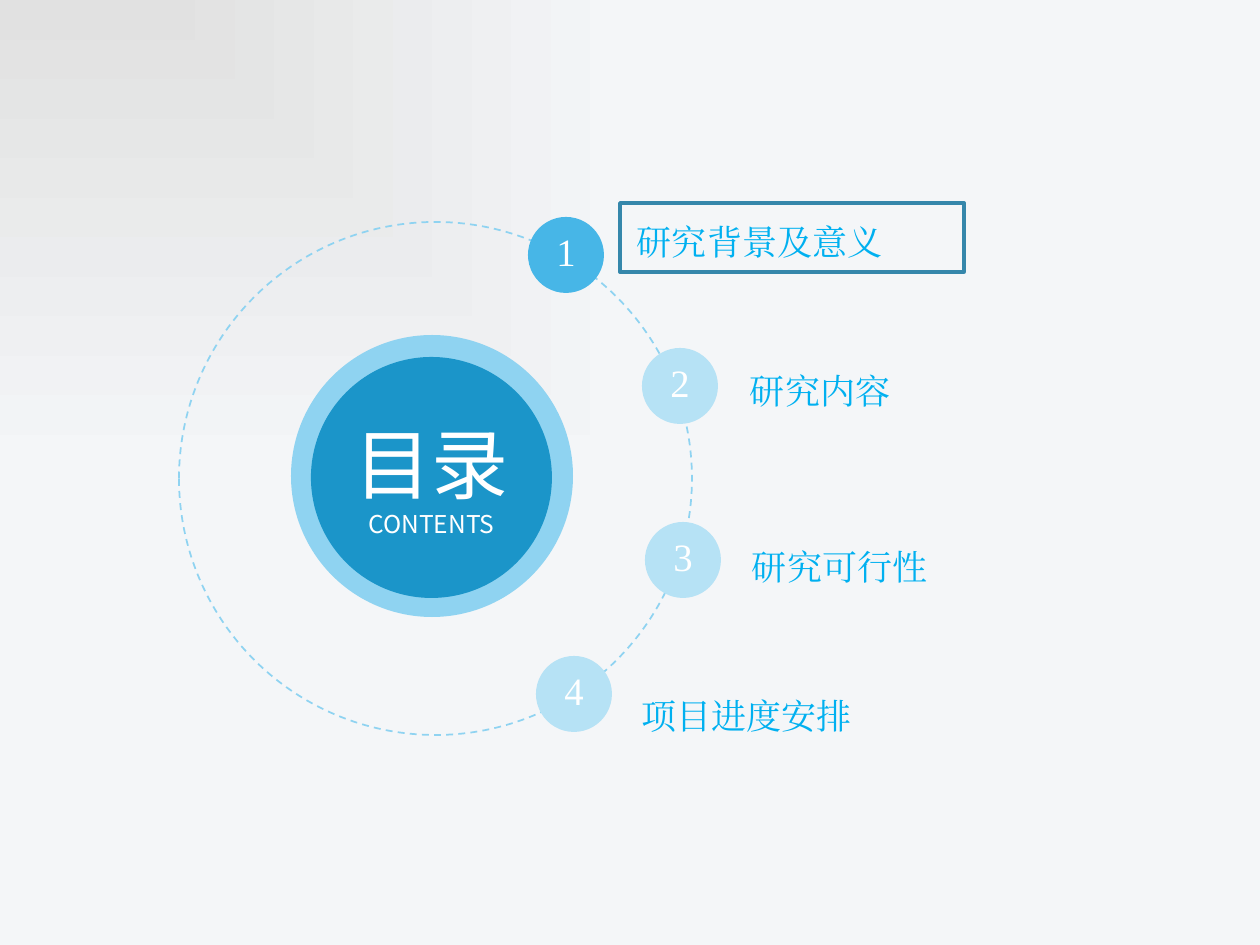
from lxml import etree
from pptx import Presentation
from pptx.dml.color import RGBColor
from pptx.enum.dml import MSO_LINE
from pptx.enum.shapes import MSO_SHAPE
from pptx.enum.text import MSO_ANCHOR, PP_ALIGN
from pptx.oxml.ns import qn
from pptx.util import Emu, Pt

RECT, OVAL = MSO_SHAPE.RECTANGLE, MSO_SHAPE.OVAL
MIDDLE = MSO_ANCHOR.MIDDLE
LEFT, CENTER = PP_ALIGN.LEFT, PP_ALIGN.CENTER
DASH = MSO_LINE.DASH

EMU_PER_PX = 914400 / 126
SANS, SERIF = "Noto Sans CJK SC", "Times New Roman"
WHITE, SKY, PALE = "FFFFFF", "8FD3F1", "B6E2F5"
ACTIVE, CORE, LABEL, FRAME = "47B6E7", "1B95C9", "00B0F0", "3587AB"


def px(length):
    return Emu(round(length * EMU_PER_PX))


def color(value):
    return RGBColor.from_string(value)


class Page:
    """Holds the style and the current slide."""

    def __init__(self, deck):
        self.slide = deck.slides.add_slide(deck.slide_layouts[6])

    def shape(self, kind, left, top, width, height, fill=None, line=None, weight=1, dash=None):
        shape = self.slide.shapes.add_shape(kind, px(left), px(top), px(width), px(height))
        shape.shadow.inherit = False
        if fill:
            shape.fill.solid()
            shape.fill.fore_color.rgb = color(fill)
        else:
            shape.fill.background()
        if line:
            shape.line.color.rgb = color(line)
            shape.line.width = Pt(weight)
            if dash:
                shape.line.dash_style = dash
        else:
            shape.line.fill.background()
        return shape

    def circle(self, left, top, size, **style):
        return self.shape(OVAL, left, top, size, size, **style)

    def backdrop(self, width, height, inner, outer):
        shape = self.shape(RECT, 0, 0, width, height)
        shape.fill.gradient()
        for stop, value in zip(shape.fill.gradient_stops, (inner, outer)):
            stop.color.rgb = color(value)
        # Spread the gradient from the top left corner
        gradient = shape.element.spPr.find(qn("a:gradFill"))
        gradient.remove(gradient.find(qn("a:lin")))
        spread = etree.SubElement(gradient, qn("a:path"), path="rect")
        etree.SubElement(spread, qn("a:fillToRect"), r="100000", b="100000")

    def frame_text(self, shape, left_inset=0, side_inset=None):
        frame = shape.text_frame
        frame.word_wrap = True
        frame.vertical_anchor = MIDDLE
        if side_inset is None:
            frame.margin_left = px(left_inset)
            frame.margin_right = frame.margin_top = frame.margin_bottom = 0
        return frame

    def span(self, para, text, size, font, value, align, spacing=None):
        para.alignment = align
        if spacing:
            para.line_spacing = spacing
        span = para.add_run()
        span.text = text
        span.font.size = Pt(size)
        span.font.name = font
        span.font.color.rgb = color(value)
        etree.SubElement(span.font._element, qn("a:ea"), typeface=font)

    def hub(self, left, top, size, title, subtitle):
        frame = self.frame_text(self.circle(left, top, size, fill=CORE))
        self.span(frame.paragraphs[0], title, 44, SANS, WHITE, CENTER)
        self.span(frame.add_paragraph(), subtitle, 14, SANS, WHITE, CENTER)

    def label(self, left, top, width, text):
        box = self.slide.shapes.add_textbox(px(left), px(top), px(width), px(106))
        frame = self.frame_text(box, left_inset=5)
        self.span(frame.paragraphs[0], text, 20, SERIF, LABEL, LEFT, 1.2)

    def badge(self, left, top, number, fill):
        shape = self.circle(left, top, 76, fill=fill)
        frame = self.frame_text(shape, side_inset="default")
        self.span(frame.paragraphs[0], str(number), 22.1, SERIF, WHITE, CENTER, 0.8)


def main():
    deck = Presentation()
    deck.slide_width, deck.slide_height = px(1260), px(945)
    page = Page(deck)

    # Background and central rings
    page.backdrop(1260, 949, "E1E1E1", "F4F6F8")
    page.circle(291, 335, 282, fill=SKY)
    page.circle(179, 222, 513, line=SKY, dash=DASH)
    page.hub(311, 357, 241, "目录", "CONTENTS")

    # Contents: label text and place, then badge place
    entries = [
        ("研究背景及意义", (632, 184, 493), (528, 217)),
        ("研究内容", (745, 333, 411), (642, 348)),
        ("研究可行性", (747, 509, 416), (645, 522)),
        ("项目进度安排", (636, 658, 508), (536, 656)),
    ]
    for text, place, _ in entries:
        page.label(*place, text)
    for number, (_, _, place) in enumerate(entries, 1):
        page.badge(*place, number, ACTIVE if number == 1 else PALE)

    # Frame around the current entry
    page.shape(RECT, 620, 203, 344, 69, line=FRAME, weight=2)

    deck.save("out.pptx")


if __name__ == "__main__":
    main()
